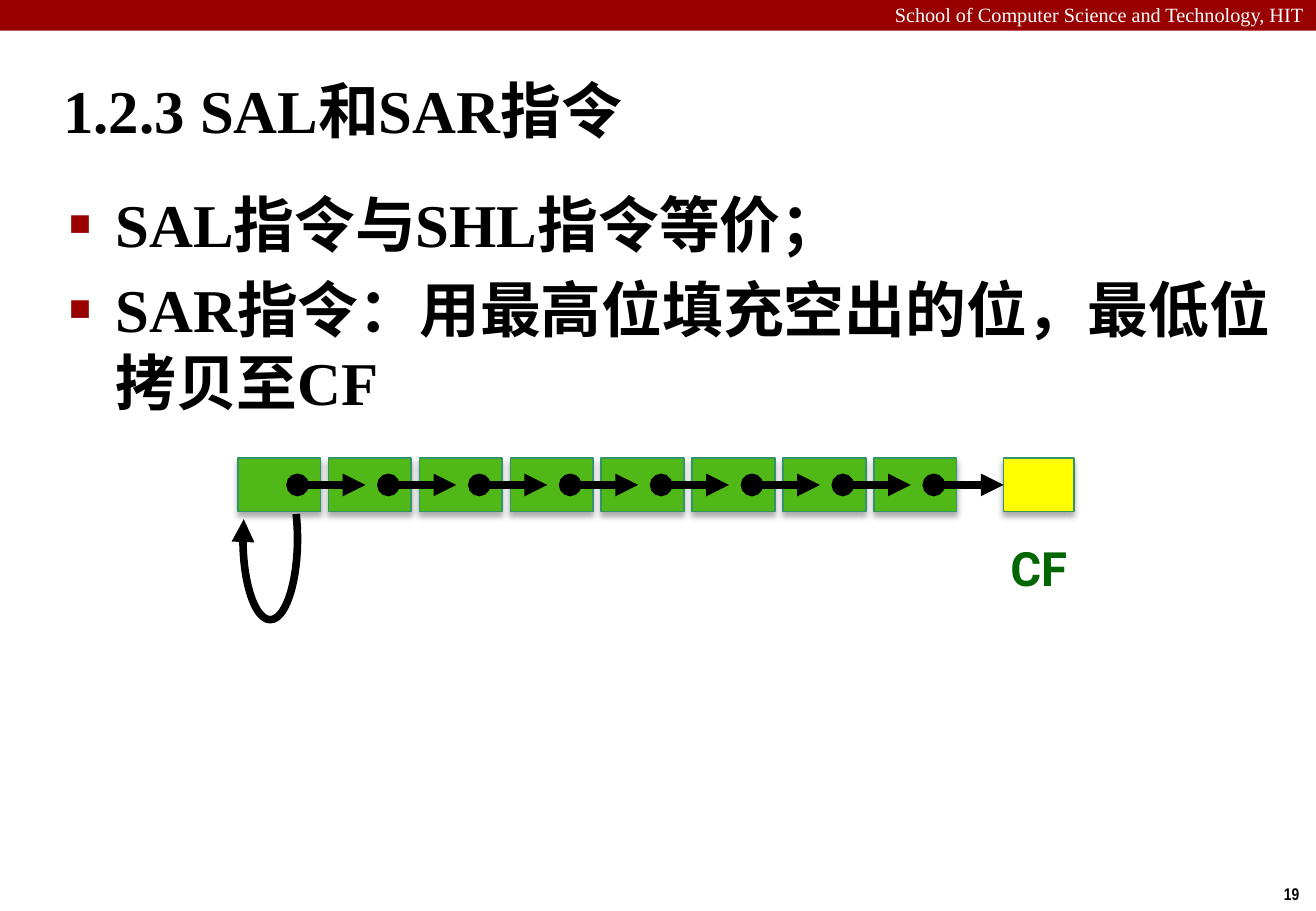
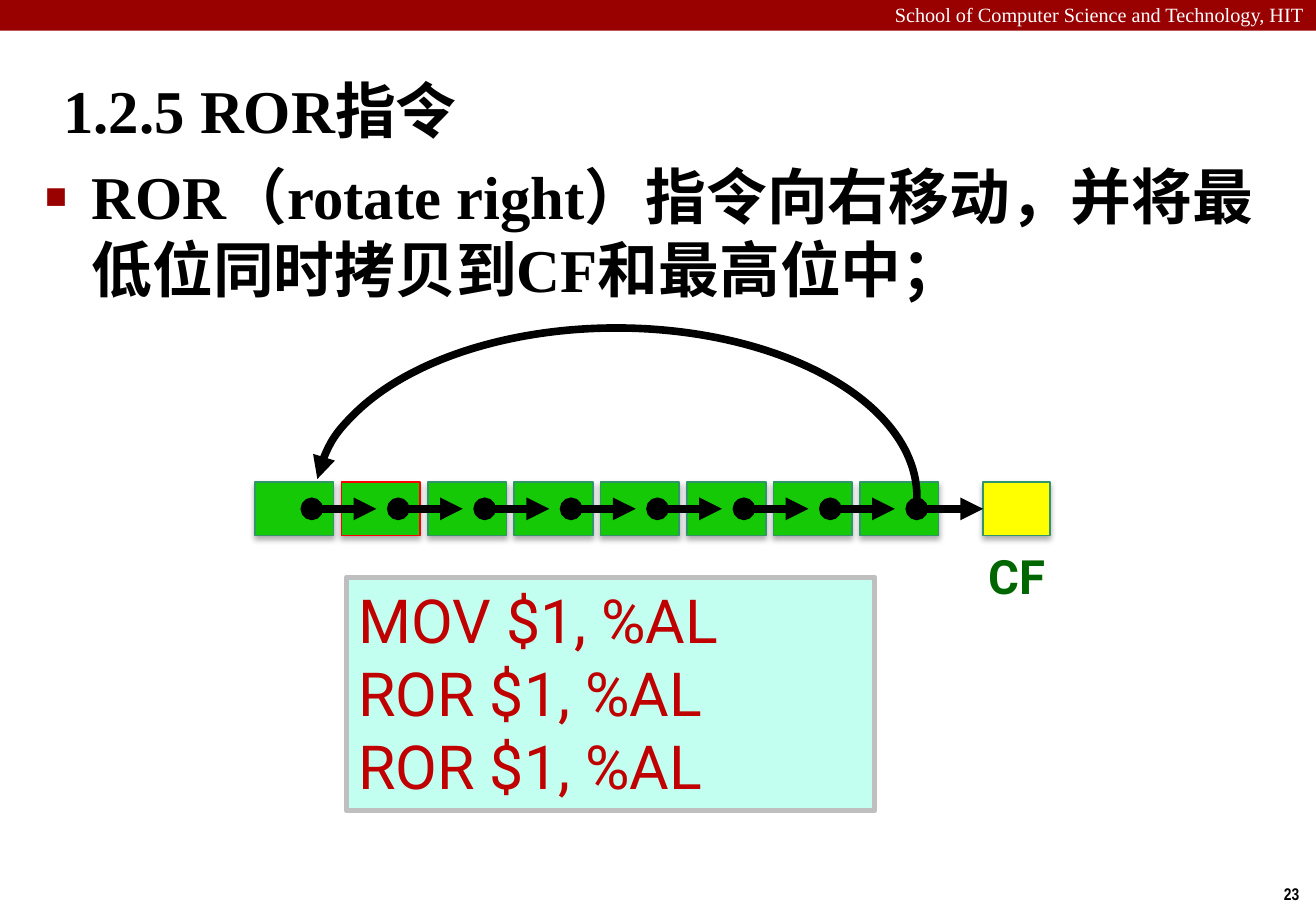
from lxml.etree import SubElement
from pptx import Presentation
from pptx.dml.color import RGBColor
from pptx.enum.shapes import MSO_CONNECTOR, MSO_SHAPE
from pptx.enum.text import MSO_ANCHOR, MSO_AUTO_SIZE, PP_ALIGN
from pptx.oxml.ns import qn
from pptx.util import Cm, Pt

BLACK = RGBColor(0x00, 0x00, 0x00)
WHITE = RGBColor(0xFF, 0xFF, 0xFF)
CRIMSON = RGBColor(0x99, 0x00, 0x00)
TEAL = RGBColor(0x32, 0x94, 0x6A)
LEAF = RGBColor(0x51, 0xB9, 0x17)
GREEN = RGBColor(0x15, 0xC9, 0x07)
DARK_GREEN = RGBColor(0x00, 0x66, 0x00)
YELLOW = RGBColor(0xFF, 0xFF, 0x00)
RED = RGBColor(0xFF, 0x00, 0x00)
CODE_RED = RGBColor(0xC0, 0x00, 0x00)
MINT = RGBColor(0xC2, 0xFF, 0xF0)
GREY = RGBColor(0xBF, 0xBF, 0xBF)

SERIF, SANS, NARROW = "Times New Roman", "Roboto", "Arial Narrow"
WIDTH, HEIGHT = 27.51, 19.05
HEADER = "School of Computer Science and Technology, HIT"
BITS = 8


def place(shape, box):
    shape.left, shape.top, shape.width, shape.height = map(Cm, box)


def style_text(tf, font, size, color, bold=False, align=PP_ALIGN.LEFT):
    tf.auto_size = MSO_AUTO_SIZE.NONE
    for p in tf.paragraphs:
        p.alignment = align
        for r in p.runs:
            r.font.name, r.font.size, r.font.bold = font, Pt(size), bold
            r.font.color.rgb = color


def add_text(s, box, text, font, size, color, bold=False,
             align=PP_ALIGN.LEFT, wrap=True):
    tb = s.shapes.add_textbox(*map(Cm, box))
    tb.text_frame.text = text
    style_text(tb.text_frame, font, size, color, bold, align)
    tb.text_frame.word_wrap = wrap
    return tb


def add_bullet(p):
    pPr = p._p.get_or_add_pPr()
    pPr.set("marL", str(Cm(0.97)))
    pPr.set("indent", str(-Cm(0.97)))
    color = SubElement(pPr, qn("a:buClr"))
    SubElement(color, qn("a:srgbClr"), val=str(CRIMSON))
    SubElement(pPr, qn("a:buSzPct"), val="60000")
    SubElement(pPr, qn("a:buFont"), typeface="Arial")
    SubElement(pPr, qn("a:buChar"), char="■")


def add_slide(prs, title, items, body_box, number):
    """Title, bulleted body, header band and page number."""
    s = prs.slides.add_slide(prs.slide_layouts[1])

    # Title
    place(s.shapes.title, (1.07, 1.22, 26.44, 2.11))
    tf = s.shapes.title.text_frame
    tf.text = title
    tf.vertical_anchor = MSO_ANCHOR.MIDDLE
    style_text(tf, SERIF, 36, BLACK, True)

    # Bulleted list
    body = s.placeholders[1]
    place(body, body_box)
    tf = body.text_frame
    tf.text = "\n".join(items)
    for i, p in enumerate(tf.paragraphs):
        add_bullet(p)
        p.space_before = Pt(7.2 if i else 0)
    style_text(tf, SERIF, 36, BLACK, True)

    # Header band and page number
    band = s.shapes.add_shape(MSO_SHAPE.RECTANGLE, 0, 0, Cm(WIDTH), Cm(0.64))
    band.shadow.inherit = False
    band.fill.solid()
    band.fill.fore_color.rgb = CRIMSON
    band.line.fill.background()
    add_text(s, (0, -0.08, WIDTH, 0.76), HEADER, SERIF, 12, WHITE,
             align=PP_ALIGN.RIGHT)
    add_text(s, (26.57, 18.35, 0.86, 0.69), number, NARROW, 10, BLACK, True,
             PP_ALIGN.CENTER, wrap=False)
    return s


def style_stroke(shape, head=None, tail=None):
    """Thick black line with optional ends and no shadow."""
    shape.line.color.rgb = BLACK
    shape.line.width = Pt(4.5)
    spPr = shape._element.spPr
    ln = spPr.find(qn("a:ln"))
    for tag, kind in (("a:headEnd", head), ("a:tailEnd", tail)):
        if kind:
            SubElement(ln, qn(tag), type=kind)
    if spPr.find(qn("a:effectLst")) is None:
        SubElement(spPr, qn("a:effectLst"))


def add_cell(s, box, fill, outline=TEAL):
    cell = s.shapes.add_shape(MSO_SHAPE.RECTANGLE, *map(Cm, box))
    cell.fill.solid()
    cell.fill.fore_color.rgb = fill
    cell.line.color.rgb = outline
    cell.line.width = Pt(1)
    cell.shadow.inherit = False
    effects = cell._element.spPr.find(qn("a:effectLst"))
    shadow = SubElement(effects, qn("a:outerShdw"), blurRad=str(Pt(3.5)),
                        dist=str(Pt(2.2)), dir="5400000", rotWithShape="0")
    color = SubElement(shadow, qn("a:srgbClr"), val=str(BLACK))
    SubElement(color, qn("a:alpha"), val="32000")
    return cell


def add_register(s, box, fill, label_drop, red_bit=None):
    """Row of bits shifting right into the carry flag."""
    left, top, width, height = box
    unit = width / 17.48
    pitch, cell_w, flag_w = 1.9 * unit, 1.73 * unit, 1.47 * unit
    dot, reach = 1.25 * unit, 1.42 * unit
    flag_left = left + width - flag_w
    middle = Cm(top + height / 2)

    # Bits and carry flag
    for i in range(BITS):
        add_cell(s, (left + i * pitch, top, cell_w, height), fill,
                 RED if i == red_bit else TEAL)
    flag = add_cell(s, (flag_left, top, flag_w, height), YELLOW)
    add_text(s, (flag_left + flag_w / 2 - 1.05, top + label_drop, 2.1, 1.4),
             "CF", SANS, 28, DARK_GREEN, True, PP_ALIGN.CENTER)

    # Shift arrows, the last one ending at the flag
    for i in range(BITS):
        x = left + i * pitch + dot
        arrow = s.shapes.add_connector(MSO_CONNECTOR.STRAIGHT, Cm(x), middle,
                                       Cm(x + reach), middle)
        style_stroke(arrow, "oval", "triangle")
    arrow.end_connect(flag, 1)


def add_arc(s, box, start, end, head=None, tail=None):
    """Arc running clockwise between two angles in degrees."""
    arc = s.shapes.add_shape(MSO_SHAPE.ARC, *map(Cm, box))
    arc.adjustments[0] = start * 0.6
    arc.adjustments[1] = end * 0.6
    arc.fill.background()
    arc.shadow.inherit = False
    style_stroke(arc, head, tail)


def add_code(s, box, lines):
    code = add_text(s, box, "\n".join(lines), SANS, 36, CODE_RED)
    code.fill.solid()
    code.fill.fore_color.rgb = MINT
    code.line.color.rgb = GREY
    code.line.width = Pt(3)


def build_sar(prs):
    s = add_slide(prs, "1.2.3 SAL和SAR指令",
                  ["SAL指令与SHL指令等价；",
                   "SAR指令：用最高位填充空出的位，最低位拷贝至CF"],
                  (1.19, 3.78, 25.86, 14.63), "19")
    add_register(s, (4.97, 9.58, 17.48, 1.12), LEAF, 1.57)
    add_arc(s, (5.08, 9.58, 1.14, 3.38), 316.1, 216.7, tail="triangle")


def build_ror(prs):
    s = add_slide(prs, "1.2.5 ROR指令",
                  ["ROR（rotate right）指令向右移动，并将最低位同时拷贝到CF和最高位中；"],
                  (0.69, 3.2, 26.26, 14.27), "23")
    add_code(s, (7.24, 12.07, 11.05, 4.88),
             ["MOV $1, %AL", "ROR $1, %AL", "ROR $1, %AL"])
    add_register(s, (5.33, 10.08, 16.62, 1.12), GREEN, 1.24, red_bit=1)
    add_arc(s, (6.6, 6.86, 12.57, 7.06), 183.4, 1.1, head="triangle")


def main():
    prs = Presentation()
    prs.slide_width, prs.slide_height = Cm(WIDTH), Cm(HEIGHT)
    build_sar(prs)
    build_ror(prs)
    prs.save("out.pptx")


if __name__ == "__main__":
    main()
